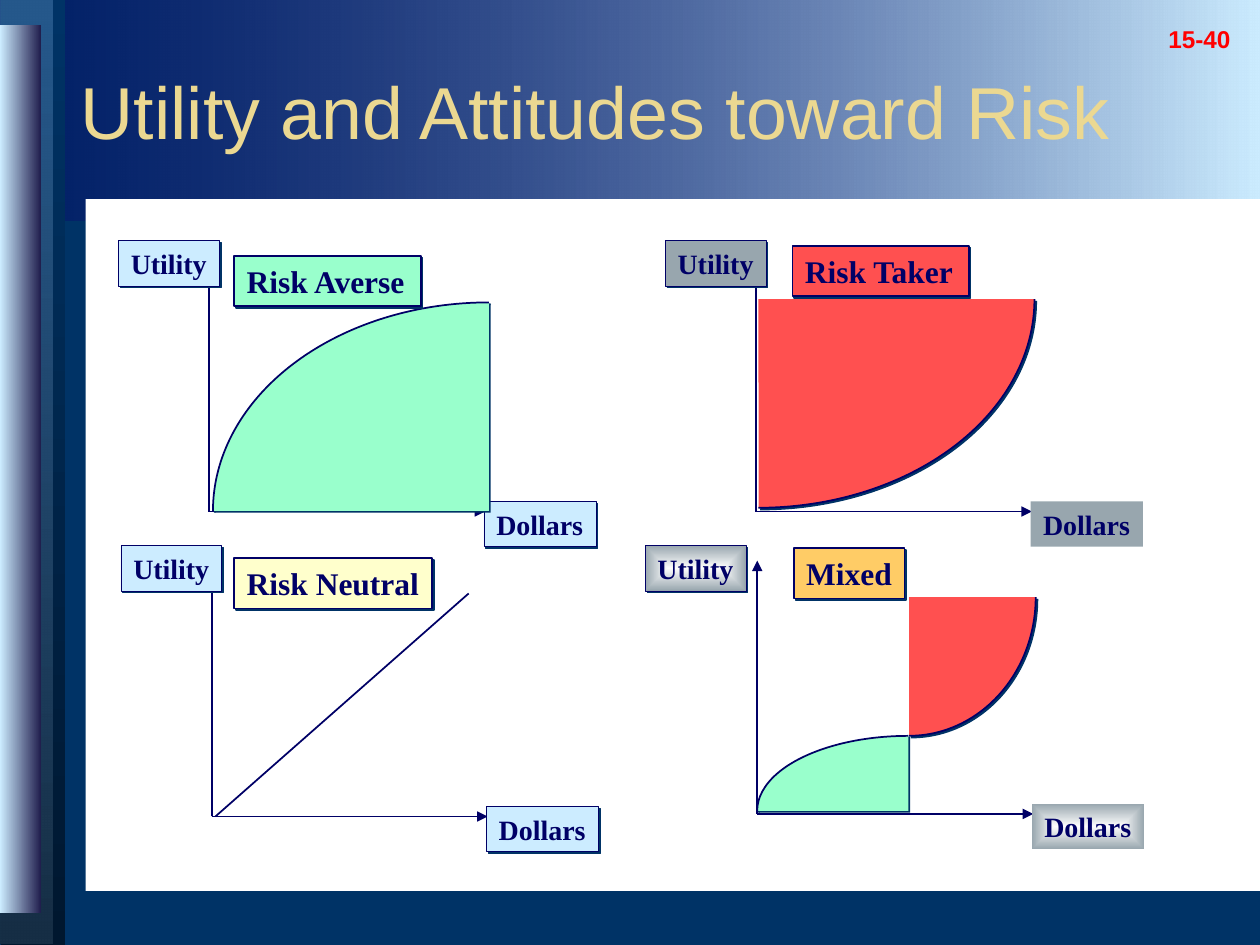
"""Build a slide on utility curves and attitudes toward risk."""
from lxml.etree import SubElement
from pptx import Presentation
from pptx.dml.color import RGBColor
from pptx.enum.shapes import MSO_CONNECTOR, MSO_SHAPE
from pptx.enum.text import MSO_ANCHOR, MSO_AUTO_SIZE, PP_ALIGN
from pptx.oxml.ns import qn
from pptx.util import Inches, Pt

NAVY, ICE, GREY = "000066", "CCECFF", "98A6AE"
MINT, RED = "99FFCC", "FF5050"
GLOW = ("FEFEFE", GREY, None)


def paint(shape, fill, line=None, width=1, shade=False):
    """Set the fill, outline and shadow; a tuple is (start, end, angle)."""
    if isinstance(fill, tuple):
        shape.fill.gradient()
        for stop, color in zip(shape.fill.gradient_stops, fill):
            stop.color.rgb = RGBColor.from_string(color)
        grad = shape._element.spPr.find(qn("a:gradFill"))
        if fill[2] is None:
            grad.remove(grad.find(qn("a:lin")))
            route = SubElement(grad, qn("a:path"), path="rect")
            SubElement(route, qn("a:fillToRect"), l="50000", t="50000", r="50000", b="50000")
        else:
            shape.fill.gradient_angle = fill[2]
    else:
        shape.fill.solid()
        shape.fill.fore_color.rgb = RGBColor.from_string(fill)
    if line:
        shape.line.color.rgb = RGBColor.from_string(line)
        shape.line.width = Pt(width)
    else:
        shape.line.fill.background()
    shape.shadow.inherit = False
    if shade:
        effect = shape._element.spPr.find(qn("a:effectLst"))
        outer = SubElement(effect, qn("a:outerShdw"), dist="17961", dir="2700000", algn="ctr", rotWithShape="0")
        SubElement(outer, qn("a:srgbClr"), val="003366")


def write(shape, text, size, name, color, bold=False):
    """Fill a shape with one styled paragraph and return its run."""
    shape.text_frame.text = text
    run = shape.text_frame.paragraphs[0].runs[0]
    run.font.size, run.font.name, run.font.bold = Pt(size), name, bold
    run.font.color.rgb = RGBColor.from_string(color)
    return run


deck = Presentation()
deck.slide_width, deck.slide_height = Inches(10), Inches(7.5)
slide = deck.slides.add_slide(deck.slide_layouts[5])
shapes = slide.shapes
slide.background.fill.solid()
slide.background.fill.fore_color.rgb = RGBColor.from_string("003366")

bands = [
    (0, 0, 10, 1.75, (ICE, NAVY, 180), {1: 38}),
    (0.01, 0, 0.51, 7.5, ("003366", "00172F", 270), {}),
    (-0.02, -0.01, 0.44, 7.5, ("336699", "172F46", 270), {0: 73}),
    (0, 0.2, 0.33, 7.05, ("1E1B4B", ICE, 180), {}),
    (0.68, 1.58, 9.32, 5.49, "FFFFFF", {}),
]
for *box, fill, alphas in bands:
    band = shapes.add_shape(MSO_SHAPE.RECTANGLE, *map(Inches, box))
    paint(band, fill)
    colors = list(band._element.spPr.iter(qn("a:srgbClr")))
    for index, alpha in alphas.items():
        SubElement(colors[index], qn("a:alpha"), val=str(alpha * 1000))

page = shapes.add_textbox(Inches(9), Inches(-0.08), Inches(1.04), Inches(0.56))
page.text_frame.word_wrap = True
run = write(page, "15-40", 24, "Arial", "FF0000", True)
run.font._element.set("baseline", "-25000")
page.text_frame.paragraphs[0].alignment = PP_ALIGN.CENTER

corners = [(1.66, 4.06), (6, 4.06), (1.68, 6.48), (6.01, 6.46)]
lines = [(1.71, 6.48, 3.72, 4.71, False)]
for x, y in corners:
    lines += [(x, y, x, y - 2.01, True), (x, y, x + 2.19, y, True)]
for *ends, arrow in lines:
    line = shapes.add_connector(MSO_CONNECTOR.STRAIGHT, *map(Inches, ends))
    line.line.color.rgb = RGBColor.from_string(NAVY)
    line.line.width = Pt(1)
    if arrow:
        SubElement(line.line._get_or_add_ln(), qn("a:tailEnd"), type="triangle")
    SubElement(line._element.spPr, qn("a:effectLst"))

axes = [
    (0.94, 1.91, ICE, NAVY),
    (5.28, 1.91, GREY, None),
    (0.96, 4.33, ICE, NAVY),
    (5.12, 4.33, GLOW, None),
]
labels = []
for (x, y), (left, top, fill, edge) in zip(corners, axes):
    labels += [
        ("Utility", left, top, 0.8, 0.36, 16, fill, NAVY, 0.25),
        ("Dollars", x + 2.18, y - 0.08, 0.89, 0.36, 16, fill, edge, 0.25),
    ]
heads = [
    ("Risk Averse", 1.86, 2.03, 1.48, MINT),
    ("Risk Taker", 6.29, 1.95, 1.4, RED),
    ("Risk Neutral", 1.86, 4.43, 1.57, "FFFFCC"),
    ("Mixed", 6.3, 4.35, 0.88, "FFCC66"),
]
titles = [(*head, 0.4, 18, fill, NAVY, 1) for *head, fill in heads]

curves = [
    (1.69, 2.4, 4.38, 3.31, MINT, 180),
    (3.83, 0.72, 4.38, 3.31, RED, 0),
    (6.21, 3.64, 2.01, 2.2, RED, 0),
    (6.01, 5.84, 2.4, 1.19, MINT, 180),
]
for group in (labels, titles):
    for text, *box, size, fill, edge, width in group:
        label = shapes.add_textbox(*map(Inches, box))
        label.text_frame.word_wrap = False
        paint(label, fill, edge, width, bool(edge))
        write(label, text, size, "Times New Roman", NAVY, True)
    if group is labels:
        for *box, fill, start in curves:
            curve = shapes.add_shape(MSO_SHAPE.ARC, *map(Inches, box))
            curve.adjustments[0] = start * 0.6
            curve.adjustments[1] = (start + 90) * 0.6
            paint(curve, fill, NAVY, 1, True)

title = shapes.title
title.left, title.top, title.width, title.height = map(Inches, (0.54, 0.25, 9.27, 1.25))
write(title, "Utility and Attitudes toward Risk", 42, "Arial", "EBD891")
title.text_frame.vertical_anchor = MSO_ANCHOR.MIDDLE
title.text_frame.auto_size = MSO_AUTO_SIZE.NONE
title.text_frame.paragraphs[0].alignment = PP_ALIGN.LEFT
shapes._spTree.append(title._element)

deck.save("out.pptx")
